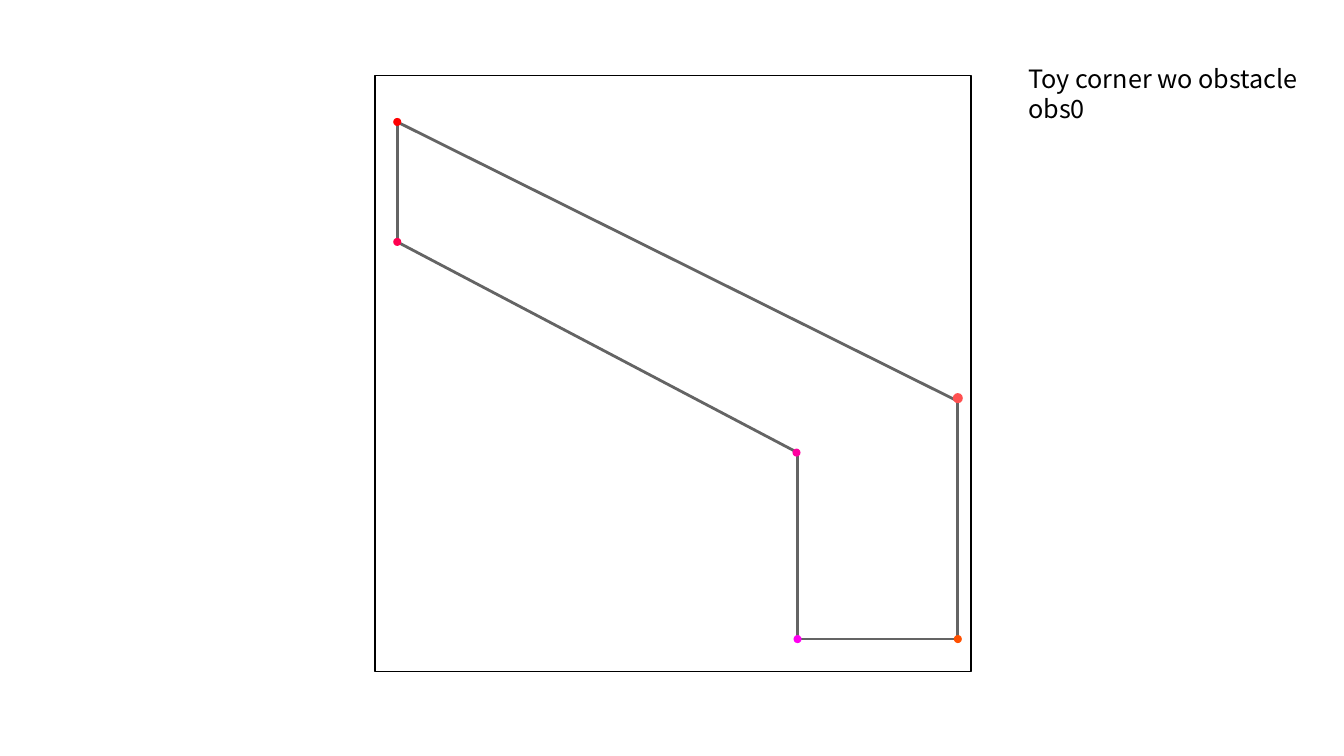
from pptx import Presentation
from pptx.dml.color import RGBColor
from pptx.enum.shapes import MSO_CONNECTOR, MSO_SHAPE
from pptx.enum.text import MSO_AUTO_SIZE
from pptx.oxml.ns import qn
from pptx.util import Inches, Pt
from lxml import etree

LINE = MSO_CONNECTOR.STRAIGHT
DOT, RECT = MSO_SHAPE.OVAL, MSO_SHAPE.RECTANGLE
GROW = MSO_AUTO_SIZE.SHAPE_TO_FIT_TEXT

# Content: corners in order round the track
TITLE = "Toy corner wo obstacle obs0"
FONT = "Noto Sans CJK KR"
FRAME = (3.72, 0.75, 5.91, 5.91)
LABEL = (10.1, 0.58, 3, 0.71)
# wall corner, dot centre, dot size, dot colour
CORNERS = [
    ((3.94, 1.21), (3.94, 1.21), 0.08, "FF0000"),
    ((3.94, 2.40), (3.94, 2.40), 0.08, "FF0050"),
    ((7.91, 4.49), (7.90, 4.49), 0.08, "FF00A0"),
    ((7.91, 6.34), (7.91, 6.34), 0.08, "FF00F0"),
    ((9.50, 6.34), (9.50, 6.34), 0.08, "FF5000"),
    ((9.50, 3.98), (9.50, 3.95), 0.10, "FF5050"),
]


def paint(part, color):
    part.rgb = RGBColor.from_string(color)


def box(*sides):
    return [Inches(side) for side in sides]


def add_wall(slide, start, end):
    wall = slide.shapes.add_connector(LINE, *box(*start, *end))
    paint(wall.line.color, "646464")
    wall.line.width = Pt(2)
    etree.SubElement(wall._element.spPr, qn("a:effectLst"))


def add_dot(slide, center, size, color):
    x, y = center
    dot = slide.shapes.add_shape(
        DOT, *box(x - size / 2, y - size / 2, size, size))
    dot.shadow.inherit = False
    dot.fill.solid()
    paint(dot.fill.fore_color, color)
    dot.line.fill.background()


def main():
    prs = Presentation()
    prs.slide_width, prs.slide_height = box(13.33, 7.5)
    slide = prs.slides.add_slide(prs.slide_layouts[6])

    # Walls join each corner to the next, and the last to the first
    points = [corner[0] for corner in CORNERS]
    for start, end in zip(points, points[1:] + points[:1]):
        add_wall(slide, start, end)

    # Corner dots
    for _, center, size, color in CORNERS:
        add_dot(slide, center, size, color)

    # Label
    label = slide.shapes.add_textbox(*box(*LABEL))
    frame = label.text_frame
    frame.word_wrap = True
    frame.auto_size = GROW
    frame.text = TITLE
    font = frame.paragraphs[0].runs[0].font
    font.name, font.size = FONT, Pt(18)
    paint(font.color, "000000")

    # Outer frame
    edge = slide.shapes.add_shape(RECT, *box(*FRAME))
    edge.shadow.inherit = False
    edge.fill.background()
    paint(edge.line.color, "000000")
    edge.line.width = Pt(1)

    prs.save("out.pptx")


if __name__ == "__main__":
    main()
